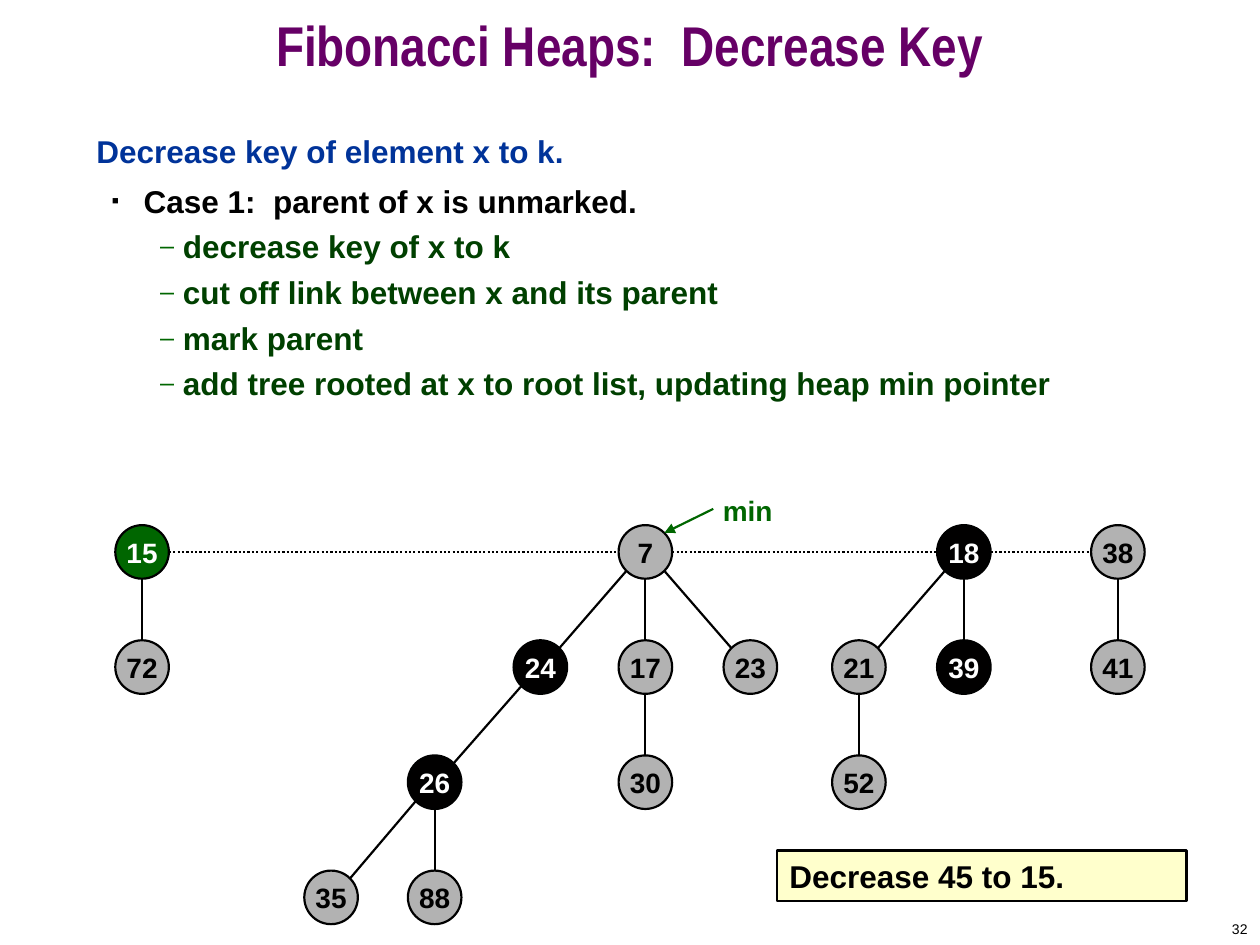
from dataclasses import dataclass
from typing import Optional

from lxml import etree
from pptx import Presentation
from pptx.dml.color import RGBColor
from pptx.enum.dml import MSO_LINE
from pptx.enum.shapes import MSO_CONNECTOR, MSO_SHAPE
from pptx.enum.text import MSO_ANCHOR, PP_ALIGN
from pptx.oxml.ns import qn
from pptx.util import Pt

LEFT, CENTER, RIGHT = PP_ALIGN.LEFT, PP_ALIGN.CENTER, PP_ALIGN.RIGHT
TOP, MIDDLE = MSO_ANCHOR.TOP, MSO_ANCHOR.MIDDLE
OVAL, RECTANGLE = MSO_SHAPE.OVAL, MSO_SHAPE.RECTANGLE
STRAIGHT, DOTTED = MSO_CONNECTOR.STRAIGHT, MSO_LINE.ROUND_DOT

COLORS = {
    "title": "660066", "heading": "003399", "black": "000000", "white": "FFFFFF",
    "step": "004000", "green": "006600", "unmarked": "B2B2B2", "marked": "010000",
    "note": "FFFFCC",
}
RADIUS = 15.3
DIAGONAL = RADIUS * 0.71
ROOT_Y, ROW_STEP = 315.4, 65.8
LINE_WIDTH = 1.25


@dataclass(frozen=True)
class Node:
    key: int
    x: float
    depth: int
    parent: Optional[int] = None
    fill: str = "unmarked"

    @property
    def y(self) -> float:
        return ROOT_Y + self.depth * ROW_STEP


@dataclass(frozen=True)
class Bullet:
    char: str
    color: str
    percent: int
    margin: float
    hanging: float


@dataclass(frozen=True)
class Line:
    text: str
    color: str
    bullet: Optional[Bullet] = None
    spacing: float = 1.0


CASE = Bullet("■", "black", 35, 27, 18)
STEP = Bullet("–", "green", 80, 49.5, 13)
OUTLINE = [
    Line("Decrease key of element x to k.", "heading"),
    Line("Case 1:  parent of x is unmarked.", "black", CASE, 1.1),
    Line("decrease key of x to k", "step", STEP),
    Line("cut off link between x and its parent", "step", STEP),
    Line("mark parent", "step", STEP),
    Line("add tree rooted at x to root list, updating heap min pointer", "step", STEP),
]
HEAP = [
    Node(15, 81.2, 0, fill="green"),
    Node(72, 81.2, 1, 15),
    Node(7, 368.8, 0),
    Node(24, 308.8, 1, 7, "marked"),
    Node(17, 368.8, 1, 7),
    Node(23, 428.8, 1, 7),
    Node(26, 248.4, 2, 24, "marked"),
    Node(30, 368.8, 2, 17),
    Node(35, 189.2, 3, 26),
    Node(88, 248.4, 3, 26),
    Node(18, 550.8, 0, fill="marked"),
    Node(21, 490.8, 1, 18),
    Node(39, 550.8, 1, 18, "marked"),
    Node(52, 490.8, 2, 21),
    Node(38, 638.8, 0),
    Node(41, 638.8, 1, 38),
]


def rgb(name: str) -> RGBColor:
    return RGBColor.from_string(COLORS[name])


def style_paragraph(paragraph, size: float, color: str, align=LEFT,
                    bold: bool = True, font_name: str = "Arial") -> None:
    paragraph.alignment = align
    font = paragraph.font
    font.name, font.size, font.bold = font_name, Pt(size), bold
    font.color.rgb = rgb(color)


def add_label(slide, text: str, left: float, top: float, width: float, height: float,
              size: float, color: str, **style):
    box = slide.shapes.add_textbox(Pt(left), Pt(top), Pt(width), Pt(height))
    box.text_frame.word_wrap = True
    box.text_frame.vertical_anchor = MIDDLE
    paragraph = box.text_frame.paragraphs[0]
    paragraph.text = text
    style_paragraph(paragraph, size, color, **style)
    return paragraph


def add_filled(slide, kind, text: str, left: float, top: float, width: float,
               height: float, fill: str, size: float, color: str, align):
    shape = slide.shapes.add_shape(kind, Pt(left), Pt(top), Pt(width), Pt(height))
    shape.shadow.inherit = False
    shape.fill.solid()
    shape.fill.fore_color.rgb = rgb(fill)
    shape.line.color.rgb = rgb("black")
    shape.line.width = Pt(LINE_WIDTH)
    frame = shape.text_frame
    frame.vertical_anchor = MIDDLE
    frame.text = text
    style_paragraph(frame.paragraphs[0], size, color, align)
    return shape


def add_line(slide, x1: float, y1: float, x2: float, y2: float, color: str = "black"):
    line = slide.shapes.add_connector(STRAIGHT, Pt(x1), Pt(y1), Pt(x2), Pt(y2))
    line.line.color.rgb = rgb(color)
    line.line.width = Pt(LINE_WIDTH)
    etree.SubElement(line._element.spPr, qn("a:effectLst"))
    return line


def add_bullet(paragraph, bullet: Bullet) -> None:
    props = paragraph._p.get_or_add_pPr()
    props.set("marL", str(Pt(bullet.margin)))
    props.set("indent", str(-Pt(bullet.hanging)))
    color = etree.SubElement(props, qn("a:buClr"))
    etree.SubElement(color, qn("a:srgbClr"), val=COLORS[bullet.color])
    etree.SubElement(props, qn("a:buSzPct"), val=str(bullet.percent * 1000))
    etree.SubElement(props, qn("a:buFont"), typeface="Arial")
    etree.SubElement(props, qn("a:buChar"), char=bullet.char)


def add_outline(slide) -> None:
    box = slide.shapes.add_textbox(Pt(48), Pt(72), Pt(618), Pt(426))
    frame = box.text_frame
    frame.word_wrap = True
    frame.vertical_anchor = TOP
    for index, line in enumerate(OUTLINE):
        paragraph = frame.add_paragraph() if index else frame.paragraphs[0]
        paragraph.text = line.text
        if line.bullet:
            add_bullet(paragraph, line.bullet)
        paragraph.space_before = Pt(4.5)
        paragraph.line_spacing = line.spacing
        style_paragraph(paragraph, 18, line.color)


def add_node(slide, node: Node) -> None:
    color = "black" if node.fill == "unmarked" else "white"
    circle = add_filled(slide, OVAL, str(node.key), node.x - RADIUS, node.y - RADIUS,
                        2 * RADIUS, 2 * RADIUS, node.fill, 16, color, CENTER)
    circle.text_frame.word_wrap = False


def add_edge(slide, parent: Node, child: Node) -> None:
    """Join the circles at their lowest and highest points, or at 45 degrees."""
    side = (child.x > parent.x) - (child.x < parent.x)
    dx, dy = (side * DIAGONAL, DIAGONAL) if side else (0, RADIUS)
    add_line(slide, parent.x + dx, parent.y + dy, child.x - dx, child.y - dy)


def add_min_pointer(slide, root: Node) -> None:
    arrow = add_line(slide, 407.6, 290.8, root.x + DIAGONAL, root.y - DIAGONAL, "green")
    etree.SubElement(arrow.line._get_or_add_ln(), qn("a:tailEnd"), type="triangle")
    add_label(slide, "min", 406, 276, 60, 31, 16, "green")


def main() -> None:
    presentation = Presentation()
    presentation.slide_width, presentation.slide_height = Pt(720), Pt(540)
    slide = presentation.slides.add_slide(presentation.slide_layouts[6])

    title = add_label(slide, "Fibonacci Heaps:  Decrease Key", 0, 0, 720, 60, 32,
                      "title", align=CENTER, font_name="Arial Narrow")
    title.line_spacing = 0.7
    add_outline(slide)

    nodes = {node.key: node for node in HEAP}
    for node in HEAP:
        if node.parent is not None:
            add_edge(slide, nodes[node.parent], node)
    roots = [node for node in HEAP if node.depth == 0]
    for first, second in zip(roots, roots[1:]):
        link = add_line(slide, first.x + RADIUS, ROOT_Y, second.x - RADIUS, ROOT_Y)
        link.line.dash_style = DOTTED
    for node in HEAP:
        add_node(slide, node)
    add_min_pointer(slide, nodes[7])

    add_filled(slide, RECTANGLE, "Decrease 45 to 15.", 444, 486, 234, 29, "note",
               18, "black", LEFT)
    add_label(slide, "32", 570, 522, 150, 18, 8, "black", align=RIGHT, bold=False)
    presentation.save("out.pptx")


if __name__ == "__main__":
    main()
